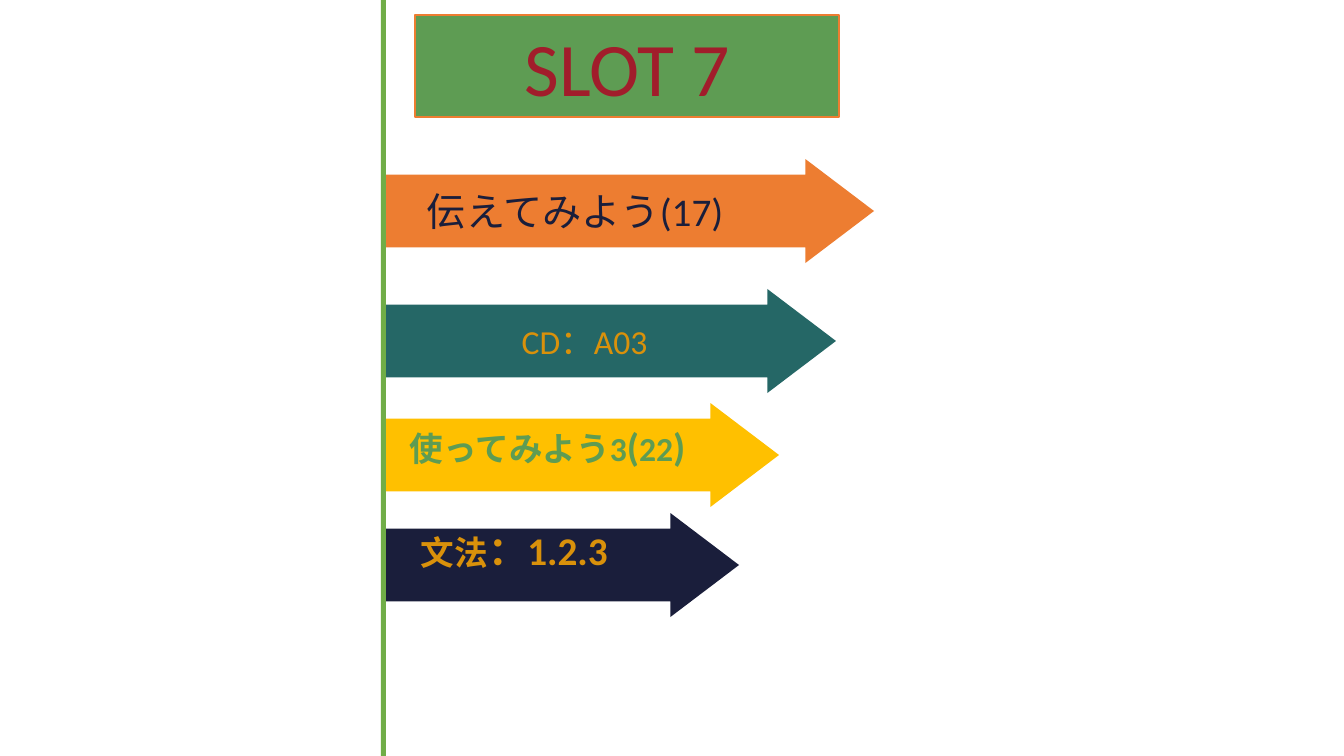
from pptx import Presentation
from pptx.dml.color import RGBColor
from pptx.enum.shapes import MSO_SHAPE
from pptx.enum.text import MSO_ANCHOR, PP_ALIGN
from pptx.util import Emu, Pt

PX_PER_INCH = 100.8
WIDTH, HEIGHT = 1344, 756
SPINE_LEFT, SPINE_WIDTH = 381, 5
ARROW_HEIGHT, LABEL_HEIGHT = 104, 57

GREEN = RGBColor(0x5E, 0x9C, 0x53)
SPINE_GREEN = RGBColor(0x70, 0xAD, 0x47)
ORANGE = RGBColor(0xED, 0x7D, 0x31)
TEAL = RGBColor(0x25, 0x67, 0x66)
YELLOW = RGBColor(0xFF, 0xC0, 0x00)
NAVY = RGBColor(0x1A, 0x1E, 0x3B)
RED = RGBColor(0xA1, 0x1D, 0x2B)
AMBER = RGBColor(0xD9, 0x91, 0x0B)


def px(n):
    return Emu(round(n * 914400 / PX_PER_INCH))


def add_box(s, kind, box, fill, line=None):
    sp = s.shapes.add_shape(kind, *map(px, box))
    sp.shadow.inherit = False
    sp.fill.solid()
    sp.fill.fore_color.rgb = fill
    if line is None:
        sp.line.fill.background()
    else:
        sp.line.color.rgb = line
        sp.line.width = Pt(1)
    return sp


def write(sp, runs, color, bold=False, align=PP_ALIGN.LEFT, anchor=MSO_ANCHOR.TOP):
    tf = sp.text_frame
    tf.word_wrap = True
    tf.vertical_anchor = anchor
    p = tf.paragraphs[0]
    p.alignment = align
    for text, size in runs:
        r = p.add_run()
        r.text = text
        r.font.name = "Calibri"
        r.font.size = Pt(size)
        r.font.bold = bold
        r.font.color.rgb = color


def add_title(s, box):
    sp = add_box(s, MSO_SHAPE.RECTANGLE, box, GREEN, ORANGE)
    write(sp, [("SLOT 7", 54)], RED, align=PP_ALIGN.CENTER, anchor=MSO_ANCHOR.MIDDLE)


def add_arrow(s, box, fill):
    sp = add_box(s, MSO_SHAPE.RIGHT_ARROW, box, fill)
    sp.adjustments[0] = 0.7
    sp.adjustments[1] = 0.66
    return sp


def add_labelled_arrow(s, box, fill, offset, label_width, runs, color, bold=False):
    add_arrow(s, box, fill)
    left, top = box[0] + offset[0], box[1] + offset[1]
    label = s.shapes.add_textbox(*map(px, (left, top, label_width, LABEL_HEIGHT)))
    write(label, runs, color, bold)


def add_agenda(s, left):
    inner = left + SPINE_WIDTH
    add_labelled_arrow(s, (left, 159, 493, ARROW_HEIGHT), ORANGE, (36, 23), 561,
                       [("伝えてみよう(17)", 28)], NAVY)
    cd = add_arrow(s, (left, 289, 455, ARROW_HEIGHT), TEAL)
    write(cd, [("CD：A03", 24)], AMBER, align=PP_ALIGN.CENTER, anchor=MSO_ANCHOR.MIDDLE)
    add_labelled_arrow(s, (inner, 403, 393, ARROW_HEIGHT), YELLOW, (14, 14), 455,
                       [("使ってみよう3", 24), ("(", 28), ("22", 24), (")", 28)],
                       GREEN, bold=True)
    add_labelled_arrow(s, (inner, 513, 353, ARROW_HEIGHT), NAVY, (25, 8), 328,
                       [("文法", 24), ("：1.2.3", 28)], AMBER, bold=True)
    add_box(s, MSO_SHAPE.RECTANGLE, (left, 0, SPINE_WIDTH, HEIGHT), SPINE_GREEN)


def main():
    prs = Presentation()
    prs.slide_width, prs.slide_height = px(WIDTH), px(HEIGHT)
    s = prs.slides.add_slide(prs.slide_layouts[6])
    add_agenda(s, SPINE_LEFT)
    add_title(s, (415, 15, 424, 102))
    prs.save("out.pptx")


if __name__ == "__main__":
    main()
